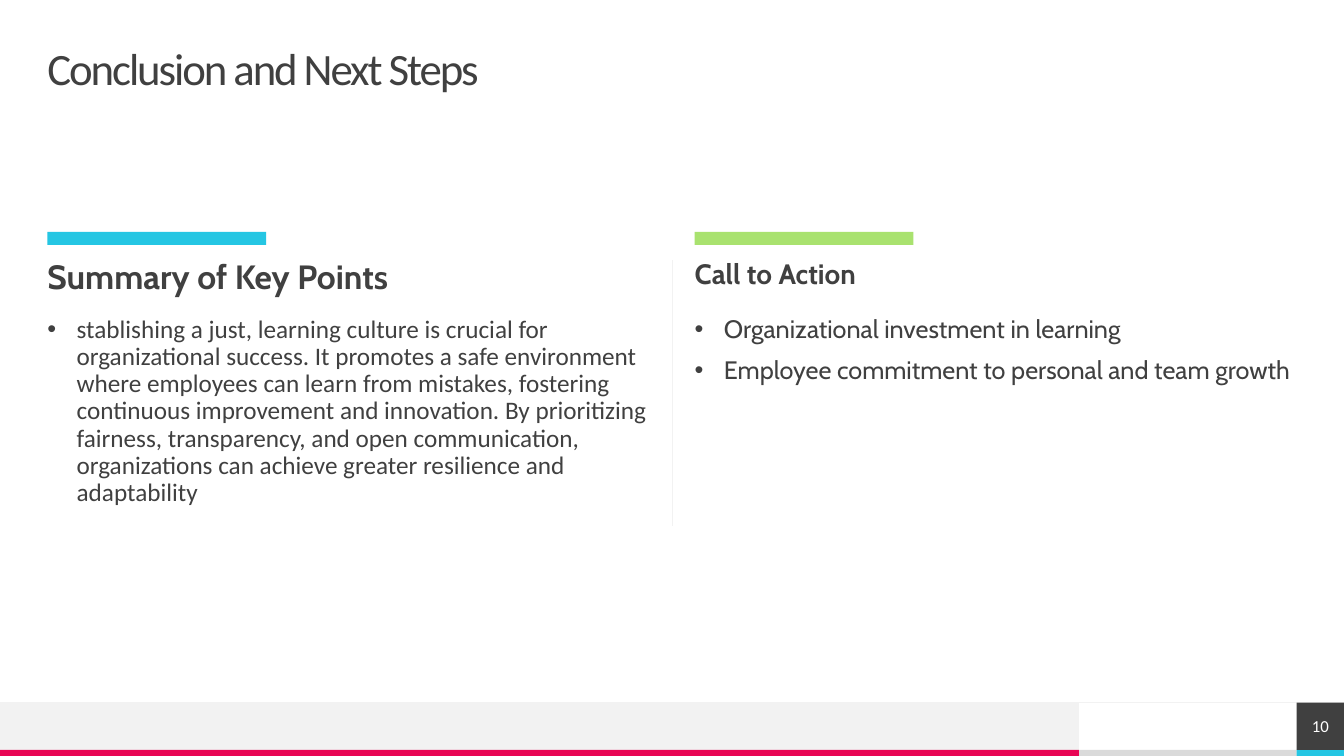
from lxml.etree import SubElement
from pptx import Presentation
from pptx.dml.color import RGBColor
from pptx.enum.shapes import MSO_CONNECTOR, MSO_SHAPE
from pptx.enum.text import MSO_ANCHOR, PP_ALIGN
from pptx.oxml.ns import qn
from pptx.util import Inches, Pt

DARK = RGBColor(0x40, 0x40, 0x40)
WHITE = RGBColor(0xFF, 0xFF, 0xFF)
PALE = RGBColor(0xF2, 0xF2, 0xF2)
GREY = RGBColor(0xDA, 0xDA, 0xDA)
PINK = RGBColor(0xE8, 0x05, 0x54)
BLUE = RGBColor(0x25, 0xC6, 0xE3)
LIME = RGBColor(0xA9, 0xE2, 0x6F)

TITLE = "Conclusion and Next Steps"
PAGE = "10"
COLS = [
    {"head": "Summary of Key Points", "size": 24, "hue": BLUE, "font": "Calibri",
     "items": ["stablishing a just, learning culture is crucial for organizational success. "
               "It promotes a safe environment where employees can learn from mistakes, "
               "fostering continuous improvement and innovation. By prioritizing fairness, "
               "transparency, and open communication, organizations can achieve greater "
               "resilience and adaptability"]},
    {"head": "Call to Action", "size": 20, "hue": LIME, "font": "Cabin",
     "items": ["Organizational investment in learning",
               "Employee commitment to personal and team growth"]},
]

WIDE, HIGH = 13.33, 7.5
EDGE = 0.47
COL, STEP = 5.98, 6.42
BAND, STRIP = 6.97, 7.44
TAB, SPLIT = 12.86, 10.7
INDENT = 0.29

deck = Presentation()
deck.slide_width, deck.slide_height = Inches(WIDE), Inches(HIGH)
slide = deck.slides.add_slide(deck.slide_layouts[6])
shapes = slide.shapes


def add_rect(x, y, w, h, hue):
    rect = shapes.add_shape(MSO_SHAPE.RECTANGLE, *map(Inches, (x, y, w, h)))
    rect.shadow.inherit = False
    rect.fill.solid()
    rect.fill.fore_color.rgb = hue
    rect.line.fill.background()
    return rect


def add_rule(*ends):
    rule = shapes.add_connector(MSO_CONNECTOR.STRAIGHT, *map(Inches, ends))
    rule.line.color.rgb = PALE
    rule.line.width = Pt(0.5)
    SubElement(rule._element.spPr, qn("a:effectLst"))


def put_text(shape, lines, look, para, anchor=MSO_ANCHOR.TOP, hue=DARK, bullet=False, track=None):
    frame = shape.text_frame
    frame.text = "\n".join(lines)
    layout = {"word_wrap": True, "vertical_anchor": anchor, "margin_left": 0,
              "margin_right": 0, "margin_top": 0, "margin_bottom": 0}
    for key, val in layout.items():
        setattr(frame, key, val)
    for part in frame.paragraphs:
        for key, val in para.items():
            setattr(part, key, val)
        run = part.runs[0]
        for key, val in look.items():
            setattr(run.font, key, val)
        run.font.color.rgb = hue
        if track:
            run.font._element.set("spc", str(track))
        if bullet:
            props = part._p.get_or_add_pPr()
            props.set("marL", str(Inches(INDENT)))
            props.set("indent", str(-Inches(INDENT)))
            SubElement(props, qn("a:buFont")).set("typeface", "Arial")
            SubElement(props, qn("a:buChar")).set("char", "•")


def add_text(x, y, w, h, *args, **opts):
    put_text(shapes.add_textbox(*map(Inches, (x, y, w, h))), *args, **opts)


add_rect(SPLIT, STRIP, TAB - SPLIT, HIGH - STRIP, GREY)
add_rect(0, BAND, SPLIT, STRIP - BAND, PALE)
add_rect(0, STRIP, SPLIT, HIGH - STRIP, PINK)
add_rect(TAB, STRIP, WIDE - TAB, HIGH - STRIP, BLUE)
add_rule(WIDE, BAND, 0, BAND)

add_text(EDGE, 0.47, WIDE - 2 * EDGE, 0.47, [TITLE], {"name": "Calibri", "size": Pt(32)},
         {"line_spacing": 0.9}, anchor=MSO_ANCHOR.MIDDLE, track=-150)

body = {"line_spacing": 0.9, "space_before": Pt(10)}
for i, col in enumerate(COLS):
    x = EDGE + i * STEP
    add_rect(x, 2.3, 2.17, 0.13, col["hue"])
    add_text(x, 2.58, COL, 0.39, [col["head"]],
             {"name": "Cabin", "size": Pt(col["size"]), "bold": True}, body)
    add_text(x, 3.14, COL, 3.69, col["items"],
             {"name": col["font"], "size": Pt(18)}, body, bullet=True)

add_rule(WIDE / 2, 2.58, WIDE / 2, 5.22)
badge = add_rect(TAB, BAND, WIDE - TAB, STRIP - BAND, DARK)
put_text(badge, [PAGE], {"name": "Calibri", "size": Pt(12)}, {"alignment": PP_ALIGN.CENTER},
         anchor=MSO_ANCHOR.MIDDLE, hue=WHITE)

deck.save("out.pptx")
